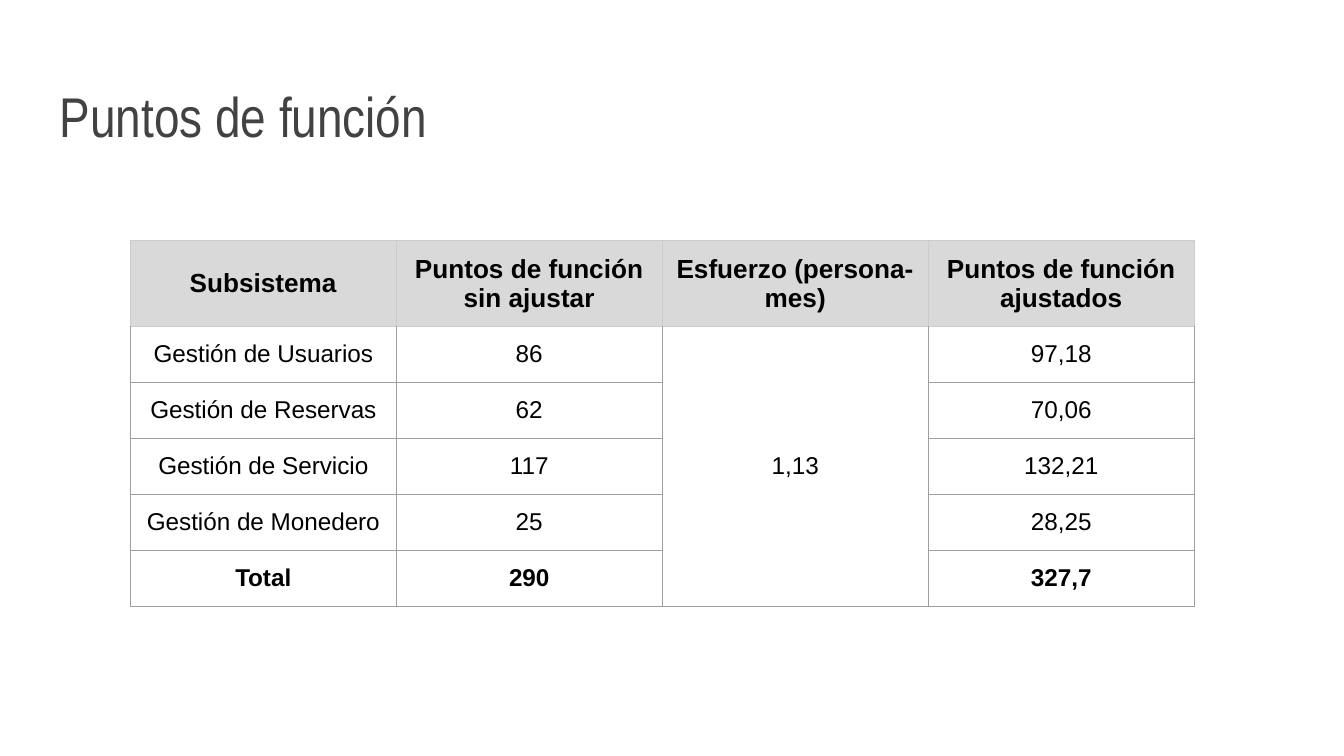
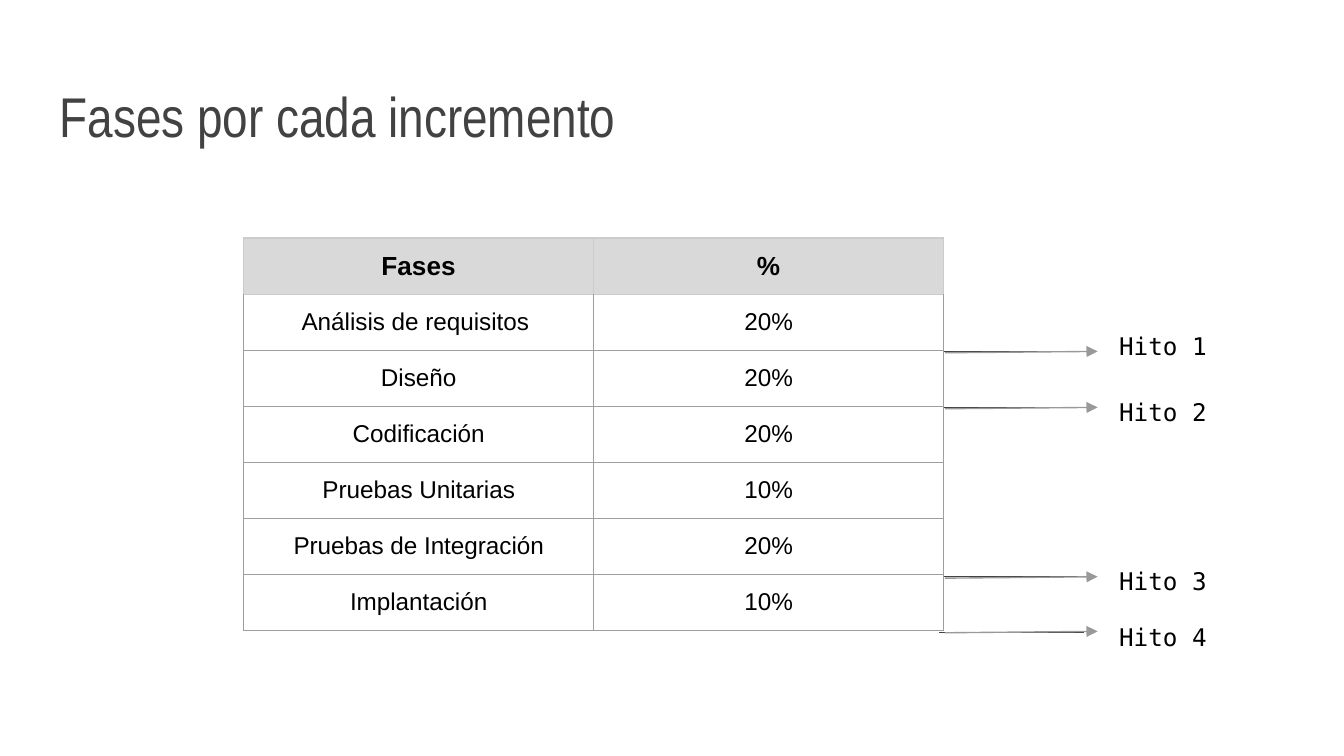
from dataclasses import dataclass

from lxml import etree
from pptx import Presentation
from pptx.dml.color import RGBColor
from pptx.enum.shapes import MSO_CONNECTOR
from pptx.enum.text import MSO_ANCHOR, MSO_AUTO_SIZE, PP_ALIGN
from pptx.oxml.ns import qn
from pptx.util import Pt

STRAIGHT = MSO_CONNECTOR.STRAIGHT
TOP, MIDDLE, BOTTOM = MSO_ANCHOR.TOP, MSO_ANCHOR.MIDDLE, MSO_ANCHOR.BOTTOM
LEFT, CENTER = PP_ALIGN.LEFT, PP_ALIGN.CENTER
NO_AUTOFIT = MSO_AUTO_SIZE.NONE

# Lengths are in px, 96 to the inch
PX = 9525
SLIDE_WIDTH, SLIDE_HEIGHT = 960, 540
TITLE_BOX = (33, 39, 895, 77)
TITLE_ONLY_LAYOUT = 5
ROW_HEIGHT = 40
INSET = Pt(7.2)
RULE_WIDTH = Pt(0.75)

WHITE, BLACK = "FFFFFF", "000000"
DARK_GREY, ARROW_GREY = "424242", "999999"
HEADER_FILL, HEADER_RULE, BODY_RULE = "D9D9D9", "CCCCCC", "9E9E9E"

TITLE_FONT = {"name": "Arial Narrow", "size": Pt(30), "bold": False}
HEADER_FONT = {"name": "Arial", "size": Pt(14), "bold": True}
BODY_FONT = {"name": "Arial", "size": Pt(13), "bold": False}
TOTAL_FONT = {**BODY_FONT, "bold": True}
MILESTONE_FONT = {"name": "DejaVu Sans Mono", "size": Pt(13), "bold": False}

MARGINS = {f"margin_{side}": INSET for side in ("left", "top", "right", "bottom")}
CELL_FORMAT = {**MARGINS, "vertical_anchor": MIDDLE}
FRAME_FORMAT = {**MARGINS, "word_wrap": True, "auto_size": NO_AUTOFIT}


@dataclass(frozen=True)
class TableSpec:
    left: int
    top: int
    column_width: int
    rows: tuple
    has_total: bool = False


@dataclass(frozen=True)
class Milestone:
    label: str
    label_top: int
    line_left: int
    line_y: int
    arrow_y: int


FUNCTION_POINTS = TableSpec(93, 172, 190, (
    ("Subsistema", "Puntos de función sin ajustar",
     "Esfuerzo (persona-mes)", "Puntos de función ajustados"),
    ("Gestión de Usuarios", "86", "1,13", "97,18"),
    ("Gestión de Reservas", "62", "", "70,06"),
    ("Gestión de Servicio", "117", "", "132,21"),
    ("Gestión de Monedero", "25", "", "28,25"),
    ("Total", "290", "", "327,7"),
), has_total=True)
EFFORT_COLUMN = 2

PHASES = TableSpec(174, 170, 250, (
    ("Fases", "%"),
    ("Análisis de requisitos ", "20%"),
    ("Diseño", "20%"),
    ("Codificación", "20%"),
    ("Pruebas Unitarias", "10%"),
    ("Pruebas de Integración", "20%"),
    ("Implantación", "10%"),
))

MILESTONES = (
    Milestone("Hito 1", 227, 674, 251, 252),
    Milestone("Hito 2", 274, 674, 291, 292),
    Milestone("Hito 3", 395, 674, 412, 413),
    Milestone("Hito 4", 435, 671, 452, 452),
)
LINE_LENGTH = 103
ARROW_LEFT, ARROW_RIGHT = 675, 784
LABEL_LEFT, LABEL_WIDTH, LABEL_HEIGHT = 790, 130, 35


def color(value: str) -> RGBColor:
    return RGBColor.from_string(value)


def apply_format(target, values: dict) -> None:
    for attribute, value in values.items():
        setattr(target, attribute, value)


def write_text(frame, text: str, font: dict, ink: str, alignment) -> None:
    paragraph = frame.paragraphs[0]
    paragraph.alignment = alignment
    run = paragraph.add_run()
    run.text = text
    apply_format(run.font, font)
    run.font.color.rgb = color(ink)


def place(shape, left: int, top: int, width: int, height: int) -> None:
    apply_format(shape, {"left": left * PX, "top": top * PX,
                         "width": width * PX, "height": height * PX})


def add_titled_slide(deck, title: str):
    slide = deck.slides.add_slide(deck.slide_layouts[TITLE_ONLY_LAYOUT])
    heading = slide.shapes.title
    place(heading, *TITLE_BOX)
    apply_format(heading.text_frame, {**FRAME_FORMAT, "vertical_anchor": BOTTOM})
    write_text(heading.text_frame, title, TITLE_FONT, DARK_GREY, LEFT)
    return slide


def set_borders(cell, top_rule: str, other_rule: str) -> None:
    properties = cell._tc.get_or_add_tcPr()
    for side in "LRTB":
        border = etree.SubElement(properties, qn(f"a:ln{side}"), w=str(RULE_WIDTH))
        fill = etree.SubElement(border, qn("a:solidFill"))
        rule = top_rule if side == "T" else other_rule
        etree.SubElement(fill, qn("a:srgbClr"), val=rule)


def add_table(slide, spec: TableSpec):
    row_count, column_count = len(spec.rows), len(spec.rows[0])
    table = slide.shapes.add_table(
        row_count, column_count, spec.left * PX, spec.top * PX,
        spec.column_width * column_count * PX, ROW_HEIGHT * row_count * PX).table
    apply_format(table, {"first_row": False, "horz_banding": False})
    for row_index, texts in enumerate(spec.rows):
        is_header = row_index == 0
        is_total = spec.has_total and row_index == row_count - 1
        font = HEADER_FONT if is_header else TOTAL_FONT if is_total else BODY_FONT
        for column_index, text in enumerate(texts):
            cell = table.cell(row_index, column_index)
            apply_format(cell, CELL_FORMAT)
            set_borders(cell, HEADER_RULE if row_index <= 1 else BODY_RULE,
                        HEADER_RULE if is_header else BODY_RULE)
            if is_header:
                cell.fill.solid()
                cell.fill.fore_color.rgb = color(HEADER_FILL)
            else:
                cell.fill.background()
            if text:
                write_text(cell.text_frame, text, font, BLACK, CENTER)
    return table


def add_line(slide, start: tuple, end: tuple, ink: str, arrow: bool = False) -> None:
    connector = slide.shapes.add_connector(
        STRAIGHT, *(length * PX for length in (*start, *end)))
    connector.line.color.rgb = color(ink)
    connector.line.width = RULE_WIDTH
    if arrow:
        etree.SubElement(connector.line._get_or_add_ln(), qn("a:tailEnd"), type="triangle")
    etree.SubElement(connector._element.spPr, qn("a:effectLst"))


def add_milestones(slide, milestones: tuple) -> None:
    for item in milestones:
        add_line(slide, (item.line_left, item.line_y),
                 (item.line_left + LINE_LENGTH, item.line_y), DARK_GREY)
    for item in milestones:
        add_line(slide, (ARROW_LEFT, item.arrow_y),
                 (ARROW_RIGHT, item.arrow_y - 1), ARROW_GREY, arrow=True)
    for item in milestones:
        label = slide.shapes.add_textbox(
            LABEL_LEFT * PX, item.label_top * PX, LABEL_WIDTH * PX, LABEL_HEIGHT * PX)
        apply_format(label.text_frame, {**FRAME_FORMAT, "vertical_anchor": TOP})
        write_text(label.text_frame, item.label, MILESTONE_FONT, BLACK, LEFT)


def main() -> None:
    deck = Presentation()
    apply_format(deck, {"slide_width": SLIDE_WIDTH * PX,
                        "slide_height": SLIDE_HEIGHT * PX})
    background = deck.slide_master.background.fill
    background.solid()
    background.fore_color.rgb = color(WHITE)

    # Function points, with one effort value for all subsystems
    points_slide = add_titled_slide(deck, "Puntos de función")
    points = add_table(points_slide, FUNCTION_POINTS)
    last_row = len(FUNCTION_POINTS.rows) - 1
    points.cell(1, EFFORT_COLUMN).merge(points.cell(last_row, EFFORT_COLUMN))

    # Phases of an increment and their milestones
    phases_slide = add_titled_slide(deck, "Fases por cada incremento")
    add_table(phases_slide, PHASES)
    add_milestones(phases_slide, MILESTONES)

    deck.save("out.pptx")


if __name__ == "__main__":
    main()
